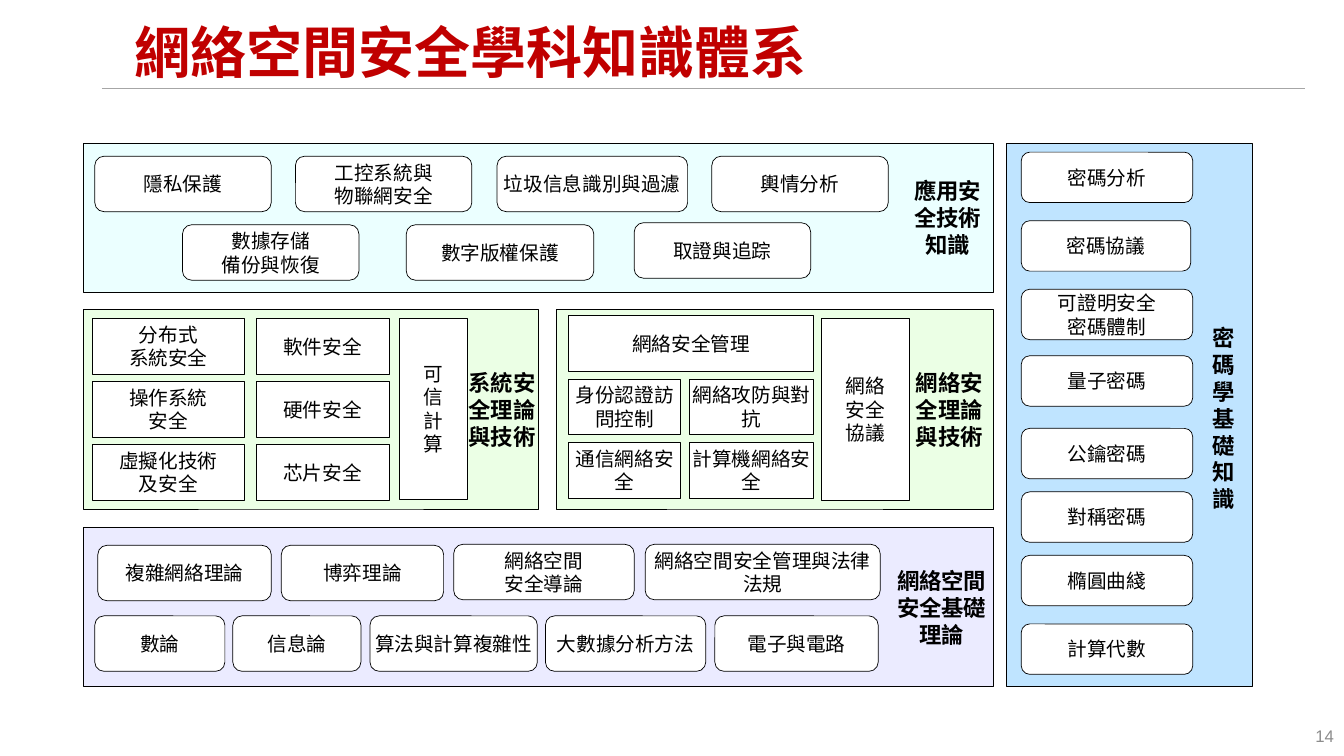
from dataclasses import dataclass

from lxml import etree
from pptx import Presentation
from pptx.dml.color import RGBColor
from pptx.enum import shapes, text
from pptx.oxml import ns
from pptx.util import Inches, Pt


@dataclass(frozen=True)
class Theme:
    cjk: str = "Noto Sans CJK SC"
    latin: str = "Arial"
    black: str = "000000"
    white: str = "FFFFFF"
    title: str = "C00000"
    rule: str = "A6A6A6"
    number: str = "8C8C8C"
    cyan: str = "EBFFFF"
    green: str = "EBFFE5"
    lilac: str = "EBEBFF"
    blue: str = "BFE4FF"
    title_size: int = 40
    label_size: int = 16
    box_size: int = 14
    number_size: int = 12


T = Theme()
RECT = shapes.MSO_SHAPE.RECTANGLE
ROUND = shapes.MSO_SHAPE.ROUNDED_RECTANGLE
CENTER = text.PP_ALIGN.CENTER


def write(sp, words, size, color=T.black, bold=False, align=CENTER,
          font=T.cjk, inset=True, spacing=None):
    """Fill a shape with text; \\n starts a paragraph, \\v breaks a line."""
    tf = sp.text_frame
    tf.word_wrap = True
    tf.vertical_anchor = text.MSO_ANCHOR.MIDDLE
    if not inset:
        tf.margin_left = tf.margin_right = tf.margin_top = tf.margin_bottom = 0
    tf.text = words
    for p in tf.paragraphs:
        p.alignment = align
        if spacing:
            p.line_spacing = spacing
        p.font.size = Pt(size)
        p.font.bold = bold
        p.font.color.rgb = RGBColor.from_string(color)
        p.font.name = font
        # East Asian glyphs take their typeface from a:ea
        latin = p._p.pPr.find(".//" + ns.qn("a:latin"))
        ea = etree.Element(ns.qn("a:ea"), typeface=font)
        latin.addnext(ea)


def add_text(s, at, words, size, **style):
    sp = s.shapes.add_textbox(*map(Inches, at))
    write(sp, words, size, **style)


def add_label(s, at, words):
    add_text(s, at, words, T.label_size, bold=True, inset=False)


def add_block(s, at, fill, kind=RECT):
    sp = s.shapes.add_shape(kind, *map(Inches, at))
    sp.shadow.inherit = False
    sp.fill.solid()
    sp.fill.fore_color.rgb = RGBColor.from_string(fill)
    sp.line.color.rgb = RGBColor.from_string(T.black)
    sp.line.width = Pt(0.5)
    return sp


def add_box(s, at, words, kind=RECT):
    write(add_block(s, at, T.white, kind), words, T.box_size, inset=False)


def add_row(s, top, boxes, kind=ROUND, height=0.55):
    for words, left, width in boxes:
        add_box(s, (left, top, width, height), words, kind)


def add_header(s):
    line = s.shapes.add_connector(shapes.MSO_CONNECTOR.STRAIGHT, Inches(1.01),
                                  Inches(0.88), Inches(12.94), Inches(0.88))
    line.line.color.rgb = RGBColor.from_string(T.rule)
    line.line.width = Pt(1)
    etree.SubElement(line._element.spPr, ns.qn("a:effectLst"))
    add_text(s, (1.24, 0.15, 11.18, 0.79), "網絡空間安全學科知識體系", T.title_size,
             color=T.title, bold=True, align=text.PP_ALIGN.LEFT, spacing=0.9)


def add_applications(s):
    add_block(s, (0.83, 1.42, 9.02, 1.48), T.cyan)
    add_label(s, (9.01, 1.51, 0.78, 1.3), "應用安全技術知識")
    add_row(s, 1.55, [("隱私保護", 0.94, 1.75),
                      ("工控系統與\v物聯網安全", 2.93, 1.75),
                      ("垃圾信息識別與過濾", 4.93, 1.89),
                      ("輿情分析", 7.06, 1.75)])
    add_row(s, 2.23, [("數據存儲\v備份與恢復", 1.81, 1.75),
                      ("數字版權保護", 4.03, 1.86)])
    add_row(s, 2.21, [("取證與追踪", 6.29, 1.75)])


def add_systems(s):
    add_block(s, (0.83, 3.07, 4.51, 1.98), T.green)
    add_label(s, (4.63, 3.18, 0.7, 1.76), "系統安全理論與技術")
    rows = [("分布式\n系統安全", "軟件安全"),
            ("操作系統\n安全", "硬件安全"),
            ("虛擬化技術\n及安全", "芯片安全")]
    for i, (system, component) in enumerate(rows):
        add_row(s, 3.16 + 0.625 * i,
                [(system, 0.92, 1.5), (component, 2.54, 1.32)], RECT)
    add_box(s, (3.96, 3.16, 0.68, 1.79), "可\n信\n計\n算")


def add_networks(s):
    add_block(s, (5.52, 3.07, 4.33, 1.98), T.green)
    add_label(s, (9.03, 3.18, 0.77, 1.76), "網絡安全理論與技術")
    rows = [[("網絡安全管理", 5.64, 2.43)],
            [("身份認證訪問控制", 5.64, 1.11), ("網絡攻防與對抗", 6.84, 1.23)],
            [("通信網絡安全", 5.64, 1.11), ("計算機網絡安全", 6.84, 1.23)]]
    for i, row in enumerate(rows):
        add_row(s, 3.13 + 0.63 * i, row, RECT)
    add_box(s, (8.15, 3.16, 0.87, 1.8), "網絡\v安全\v協議")


def add_foundations(s):
    add_block(s, (0.83, 5.23, 9.02, 1.58), T.lilac)
    add_label(s, (8.88, 5.28, 0.92, 1.5), "網絡空間安全基礎理論")
    add_row(s, 5.41, [("複雜網絡理論", 0.97, 1.72), ("博弈理論", 2.79, 1.61)])
    add_row(s, 5.4, [("網絡空間\n安全導論", 4.5, 1.79),
                     ("網絡空間安全管理與法律法規", 6.4, 2.33)])
    add_row(s, 6.11, [("數論", 0.94, 1.29), ("信息論", 2.31, 1.27),
                      ("算法與計算複雜性", 3.67, 1.66),
                      ("大數據分析方法", 5.41, 1.59),
                      ("電子與電路", 7.09, 1.62)])


def add_cryptography(s):
    add_block(s, (9.98, 1.42, 2.44, 5.39), T.blue)
    add_label(s, (11.93, 2.07, 0.41, 4.16), "密碼學基礎知識")
    topics = [("密碼分析", 1.51, 1.7), ("密碼協議", 2.19, 1.68),
              ("可證明安全\n密碼體制", 2.87, 1.7), ("量子密碼", 3.53, 1.7),
              ("公鑰密碼", 4.25, 1.7), ("對稱密碼", 4.88, 1.7),
              ("橢圓曲綫", 5.51, 1.7), ("計算代數", 6.19, 1.7)]
    for words, top, width in topics:
        add_box(s, (10.13, top, width, 0.5), words, ROUND)


def main():
    prs = Presentation()
    prs.slide_width, prs.slide_height = Inches(13.33), Inches(7.5)
    s = prs.slides.add_slide(prs.slide_layouts[6])

    # Title and rule
    add_header(s)

    # Knowledge areas
    add_applications(s)
    add_systems(s)
    add_networks(s)
    add_foundations(s)
    add_cryptography(s)

    # Slide number
    add_text(s, (10.33, 7.1, 3, 0.4), "14", T.number_size, color=T.number,
             align=text.PP_ALIGN.RIGHT, font=T.latin)

    prs.save("out.pptx")


if __name__ == "__main__":
    main()
